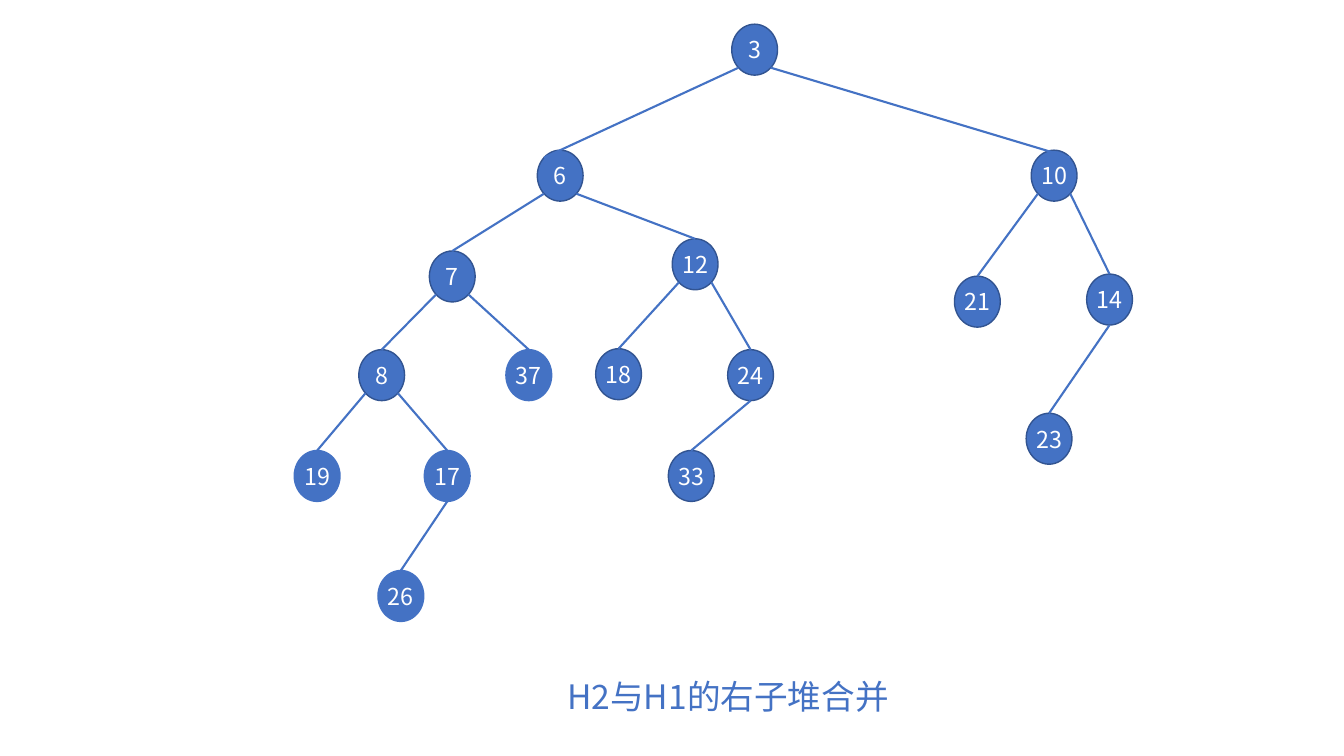
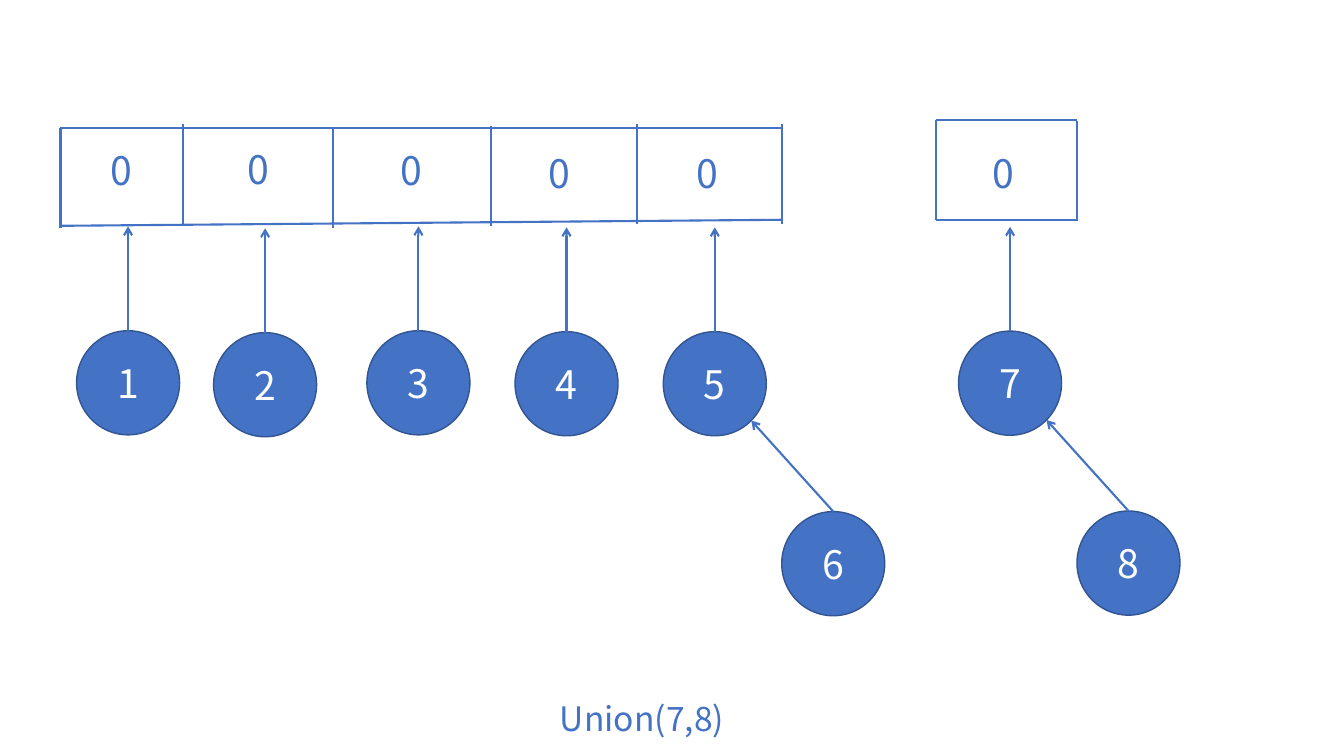
import math

import pptx
import pptx.dml.color
import pptx.enum.shapes
import pptx.enum.text
import pptx.oxml
import pptx.oxml.ns
import pptx.util

Pt = pptx.util.Pt
RGBColor = pptx.dml.color.RGBColor
Anchor = pptx.enum.text.MSO_ANCHOR
Align = pptx.enum.text.PP_ALIGN

BLUE = RGBColor(0x44, 0x72, 0xC4)
NAVY = RGBColor(0x32, 0x54, 0x91)
WHITE = RGBColor(0xFF, 0xFF, 0xFF)
FONT = "Noto Sans CJK SC"
DIAGONAL = math.sqrt(0.5)


def add_xml(parent, tag, **attributes):
    element = pptx.oxml.parse_xml(f"<{tag} {pptx.oxml.ns.nsdecls('a')}/>")
    for key, value in attributes.items():
        element.set(key, value)
    parent.append(element)


def rim(node, across, down):
    x = node.left + node.width * (1 + across) / 2
    y = node.top + node.height * (1 + down) / 2
    return x / Pt(1), y / Pt(1)


class Deck:
    def __init__(self):
        self.presentation = pptx.Presentation()
        self.presentation.slide_width = Pt(960)
        self.presentation.slide_height = Pt(540)
        self.slide = None

    def new_slide(self, caption, left, top):
        layout = self.presentation.slide_layouts.get_by_name("Title Only")
        self.slide = self.presentation.slides.add_slide(layout)
        title = self.slide.shapes.title
        title.left, title.top = Pt(left), Pt(top)
        title.width, title.height = Pt(684), Pt(36)
        title.text_frame.auto_size = pptx.enum.text.MSO_AUTO_SIZE.SHAPE_TO_FIT_TEXT
        self.style_text(title.text_frame, caption, 24, BLUE, Align.CENTER, Anchor.TOP)

    def style_text(self, frame, text, size, color, align, anchor):
        frame.text = text
        frame.word_wrap = True
        frame.vertical_anchor = anchor
        paragraph = frame.paragraphs[0]
        paragraph.alignment = align
        for run in paragraph.runs:
            run.font.size = Pt(size)
            run.font.color.rgb = color
            run.font.name = FONT
            add_xml(run.font._element, "a:ea", typeface=FONT)

    def node(self, text, left, top, width, height, size, outline=NAVY):
        node = self.slide.shapes.add_shape(
            pptx.enum.shapes.MSO_SHAPE.OVAL, Pt(left), Pt(top), Pt(width), Pt(height))
        node.shadow.inherit = False
        node.fill.solid()
        node.fill.fore_color.rgb = BLUE
        node.line.color.rgb = outline
        node.line.width = Pt(1)
        frame = node.text_frame
        frame.margin_left = frame.margin_right = 0
        self.style_text(frame, text, size, WHITE, Align.CENTER, Anchor.MIDDLE)
        return node

    def label(self, text, left, top):
        box = self.slide.shapes.add_textbox(Pt(left), Pt(top), Pt(42), Pt(41))
        self.style_text(box.text_frame, text, 28, BLUE, Align.LEFT, Anchor.TOP)

    def line(self, start, end, arrow=False):
        line = self.slide.shapes.add_connector(
            pptx.enum.shapes.MSO_CONNECTOR.STRAIGHT, *(Pt(v) for v in (*start, *end)))
        line.line.color.rgb = BLUE
        line.line.width = Pt(1.5)
        properties = line._element.spPr
        if arrow:
            add_xml(line.line._get_or_add_ln(), "a:tailEnd", type="arrow")
        add_xml(properties, "a:effectLst")
        return line

    def link(self, child, target, arrow=False):
        self.line(rim(child, 0, -1), target, arrow).begin_connect(child, 0)


def heap_slide(deck):
    deck.new_slide("H2与H1的右子堆合并", 178, 479.5)
    places = {
        3: (522.7, 17.3), 6: (383.8, 107.3), 10: (736.6, 107.3),
        7: (306.7, 179.3), 12: (480.2, 170.6), 21: (681.8, 197.3),
        14: (776.2, 195.8), 8: (256.3, 249.8), 37: (361.4, 249.8),
        18: (425.5, 249.1), 24: (519.8, 249.8), 23: (733, 295.2),
        19: (210.2, 321.8), 17: (303.1, 321.8), 33: (477.4, 321.8),
        26: (270, 407.5),
    }
    light_keys = {17, 19, 26, 37}
    nodes = {
        key: deck.node(str(key), *place, 32.7, 36.4, 16.6,
                       BLUE if key in light_keys else NAVY)
        for key, place in places.items()
    }
    for side, child in ((-DIAGONAL, 6), (DIAGONAL, 10)):
        deck.line(rim(nodes[3], side, DIAGONAL), rim(nodes[child], side, -DIAGONAL))
    pairs = {6: (7, 12), 10: (21, 14), 7: (8, 37), 12: (18, 24), 8: (19, 17)}
    for parent, children in pairs.items():
        for side, child in zip((-DIAGONAL, DIAGONAL), children):
            deck.link(nodes[child], rim(nodes[parent], side, DIAGONAL))
    for parent, child in {14: 23, 17: 26, 24: 33}.items():
        deck.link(nodes[child], rim(nodes[parent], 0, 1))


def union_slide(deck):
    deck.new_slide("Union(7,8)", 116.6, 494.6)
    node_style = (73.6, 74.4, 28)
    roots = (
        (1, 54.7, 236.2, 100.8), (2, 152.6, 237.6, 100.1),
        (3, 262.1, 236.2, 100.8), (4, 367.9, 236.9, 103),
        (5, 473.8, 236.9, 103), (7, 684.7, 236.5, 103),
    )
    joined = {5: 6, 7: 8}
    for key, left, top, zero_top in roots:
        root = deck.node(str(key), left, top, *node_style)
        x, y = rim(root, 0, -1)
        deck.link(root, (x, y - 74.5), arrow=True)
        deck.label("0", left + 17, zero_top)
        if key in joined:
            member = deck.node(str(joined[key]), left + 84.6, top + 128.5, *node_style)
            deck.link(member, rim(root, DIAGONAL, DIAGONAL), arrow=True)

    dividers = ((43.2, 91.4), (131, 88.6), (237.6, 91.4), (350.6, 90),
                (455, 88.6), (558.7, 88.6), (668.9, 85.7), (769, 86.5))
    for x, top in dividers:
        deck.line((x, top), (x, top + 71.7))
    row_edges = ((43.2, 91.4, 558.7, 91.4), (43.2, 161.3, 558.7, 157),
                 (668.9, 85.7, 769, 85.7), (668.9, 157, 769, 157))
    for left, start_y, right, end_y in row_edges:
        deck.line((left, start_y), (right, end_y))


def main():
    deck = Deck()
    heap_slide(deck)
    union_slide(deck)
    deck.presentation.save("out.pptx")


if __name__ == "__main__":
    main()
